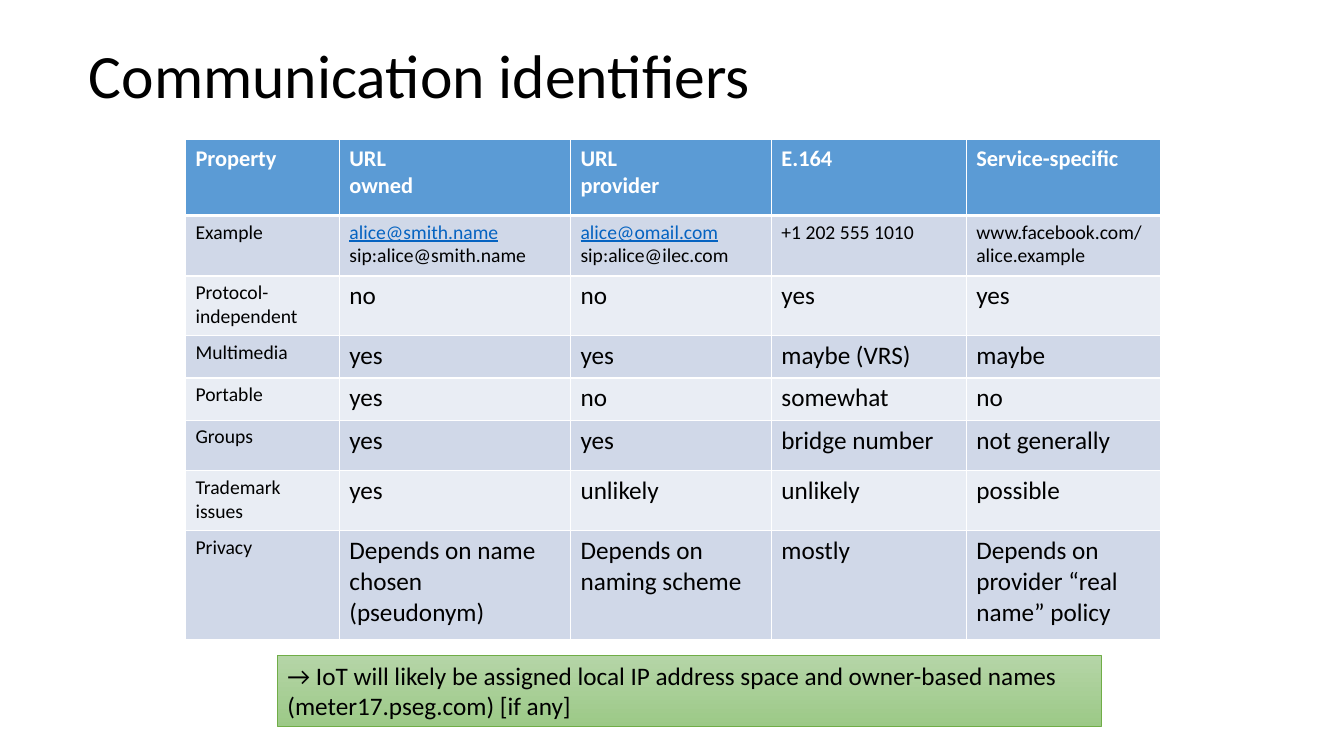
from dataclasses import dataclass

from lxml import etree
from pptx import Presentation
from pptx import util as u
from pptx.dml.color import RGBColor
from pptx.enum import shapes, text
from pptx.oxml.ns import qn


@dataclass(frozen=True)
class Theme:
    font: str = "Calibri"
    ink: str = "000000"
    paper: str = "FFFFFF"
    header: str = "5B9BD5"
    bands: tuple = ("D0D8E8", "E9EDF4")
    link: str = "0563C1"
    banner: tuple = ("B5D5A7", "9CC987")
    banner_line: str = "70AD47"
    title_size: int = 44
    header_size: int = 16
    label_size: int = 14
    body_size: int = 18


def apply(target, formats):
    for name, value in formats.items():
        setattr(target, name, value)


class SlideBuilder:
    """Places elements on one page; lengths are percent of the slide's size."""

    def __init__(self, deck, theme):
        self.deck, self.theme = deck, theme
        self.page = deck.slides.add_slide(deck.slide_layouts[5])

    def across(self, share):
        return u.Emu(round(self.deck.slide_width * share / 100))

    def down(self, share):
        return u.Emu(round(self.deck.slide_height * share / 100))

    def area(self, left, top, width, height):
        return dict(left=self.across(left), top=self.down(top),
                    width=self.across(width), height=self.down(height))

    def fill_text(self, frame, lines, size, color=None, para_formats=None, **font_formats):
        frame.word_wrap = True
        for index, line in enumerate(lines):
            para = frame.add_paragraph() if index else frame.paragraphs[0]
            apply(para, {"alignment": text.PP_ALIGN.LEFT, **(para_formats or {})})
            span = para.add_run()
            span.text = line
            apply(span.font, {"name": self.theme.font, "size": u.Pt(size), **font_formats})
            span.font.color.rgb = RGBColor.from_string(color or self.theme.ink)

    def title(self, wording, area):
        box = self.page.shapes.title
        apply(box, self.area(*area))
        apply(box.text_frame, {"vertical_anchor": text.MSO_ANCHOR.MIDDLE,
                               "auto_size": text.MSO_AUTO_SIZE.NONE})
        self.fill_text(box.text_frame, [wording], self.theme.title_size,
                       para_formats={"line_spacing": 0.9})

    def border(self, cell, widths):
        properties = cell._tc.get_or_add_tcPr()
        for side, width in widths.items():
            line = etree.SubElement(properties, qn(f"a:ln{side}"), w=str(u.Pt(width)))
            fill = etree.SubElement(line, qn("a:solidFill"))
            etree.SubElement(fill, qn("a:srgbClr"), val=self.theme.paper)

    def cell(self, cell, lines, row, column):
        theme = self.theme
        self.border(cell, {"L": 1, "R": 1, "T": 3 if row == 1 else 1,
                           "B": 3 if row == 0 else 1})
        cell.fill.solid()
        fill = theme.bands[(row - 1) % 2] if row else theme.header
        cell.fill.fore_color.rgb = RGBColor.from_string(fill)
        if row == 0:
            self.fill_text(cell.text_frame, lines, theme.header_size, theme.paper, bold=True)
        else:
            small = row == 1 or column == 0
            self.fill_text(cell.text_frame, lines,
                           theme.label_size if small else theme.body_size)
        # Mail addresses look like links
        for para in cell.text_frame.paragraphs:
            if "@" in para.text and not para.text.startswith("sip:"):
                para.runs[0].font.underline = True
                para.runs[0].font.color.rgb = RGBColor.from_string(theme.link)

    def table(self, rows, left, top, widths, heights):
        area = self.area(left, top, sum(widths), sum(heights))
        table = self.page.shapes.add_table(len(rows), len(widths), **area).table
        for column, width in zip(table.columns, widths):
            column.width = self.across(width)
        for row, height in zip(table.rows, heights):
            row.height = self.down(height)
        for r, row in enumerate(rows):
            for c, wording in enumerate(row):
                self.cell(table.cell(r, c), wording.split("\n"), r, c)

    def banner(self, wording, area):
        box = self.page.shapes.add_shape(shapes.MSO_SHAPE.RECTANGLE, **self.area(*area))
        box.shadow.inherit = False
        box.fill.gradient()
        box.fill.gradient_angle = 270
        for stop, color in zip(box.fill.gradient_stops, self.theme.banner):
            stop.color.rgb = RGBColor.from_string(color)
        box.line.color.rgb = RGBColor.from_string(self.theme.banner_line)
        box.line.width = u.Pt(0.5)
        apply(box.text_frame, {"vertical_anchor": text.MSO_ANCHOR.TOP,
                               "auto_size": text.MSO_AUTO_SIZE.SHAPE_TO_FIT_TEXT})
        self.fill_text(box.text_frame, [wording], self.theme.body_size)


IDENTIFIERS = [
    ["Property", "URL\nowned", "URL\nprovider", "E.164", "Service-specific"],
    ["Example", "alice@smith.name\nsip:alice@smith.name",
     "alice@omail.com\nsip:alice@ilec.com", "+1 202 555 1010",
     "www.facebook.com/alice.example"],
    ["Protocol-independent", "no", "no", "yes", "yes"],
    ["Multimedia", "yes", "yes", "maybe (VRS)", "maybe"],
    ["Portable", "yes", "no", "somewhat", "no"],
    ["Groups", "yes", "yes", "bridge number", "not generally"],
    ["Trademark issues", "yes", "unlikely", "unlikely", "possible"],
    ["Privacy", "Depends on name chosen (pseudonym)", "Depends on naming scheme",
     "mostly", "Depends on provider “real name” policy"],
]


def main():
    deck = Presentation()
    apply(deck, {"slide_width": u.Inches(13.33), "slide_height": u.Inches(7.5)})
    slide = SlideBuilder(deck, Theme())

    # Heading
    slide.title("Communication identifiers", (5.85, 2.4, 86.27, 16))

    # Comparison of identifier types
    slide.table(IDENTIFIERS, 13.8, 18.5,
                widths=[11.45, 17.2, 14.95, 14.5, 14.5],
                heights=[10, 8, 7.9, 5.6, 5.6, 6.7, 7.9, 14.4])

    # Conclusion
    slide.banner("→ IoT will likely be assigned local IP address space and "
                 "owner-based names (meter17.pseg.com) [if any]",
                 (20.65, 86.7, 61.3, 9.45))
    deck.save("out.pptx")


if __name__ == "__main__":
    main()
